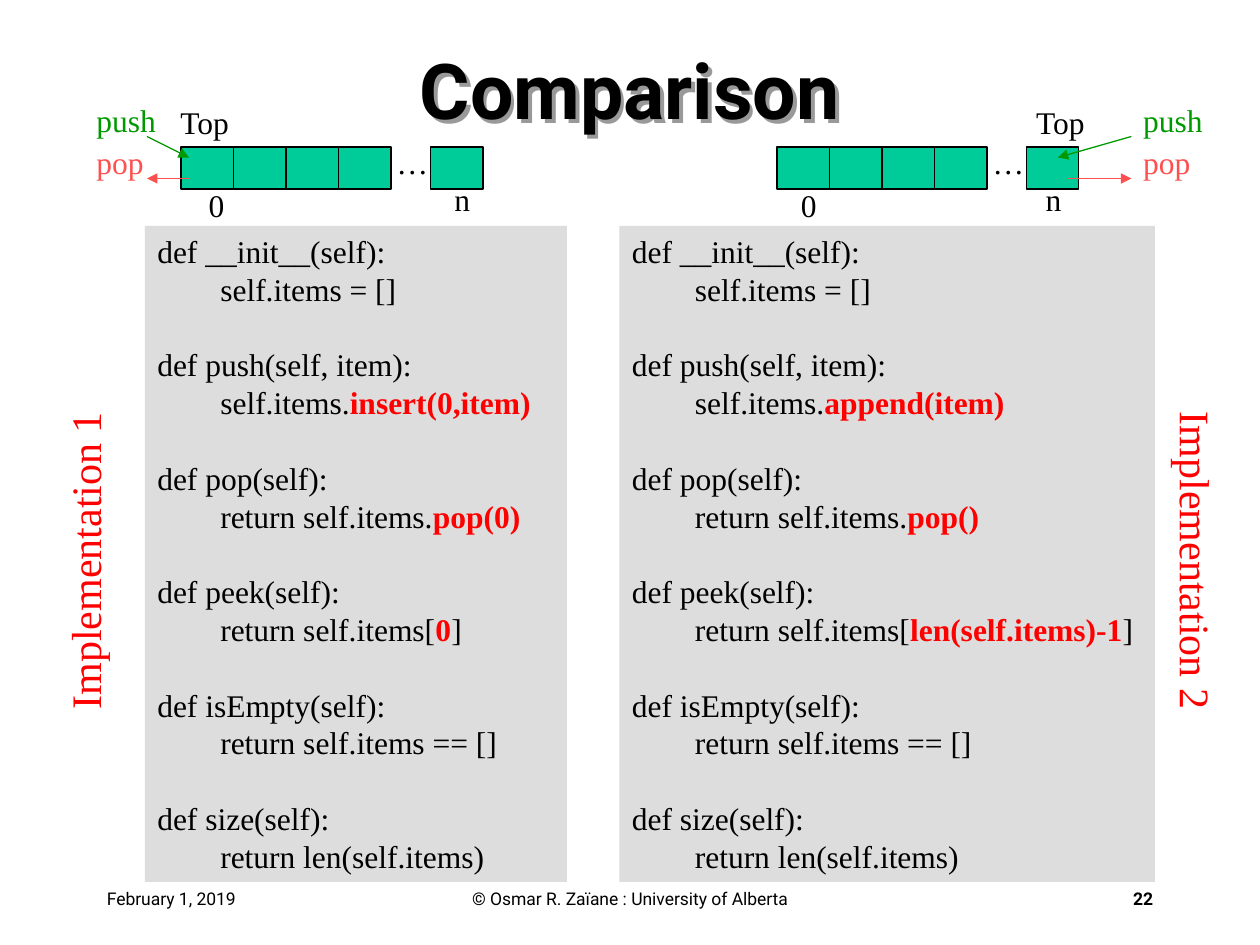
from lxml import etree
from pptx import Presentation
from pptx.dml.color import RGBColor
from pptx.enum.shapes import MSO_CONNECTOR, MSO_SHAPE
from pptx.enum.text import MSO_ANCHOR, PP_ALIGN
from pptx.oxml.ns import qn
from pptx.util import Inches, Pt

RECTANGLE = MSO_SHAPE.RECTANGLE
STRAIGHT = MSO_CONNECTOR.STRAIGHT
MIDDLE, TOP = MSO_ANCHOR.MIDDLE, MSO_ANCHOR.TOP
LEFT, CENTER, RIGHT = PP_ALIGN.LEFT, PP_ALIGN.CENTER, PP_ALIGN.RIGHT

BLACK = RGBColor(0x00, 0x00, 0x00)
RED = RGBColor(0xFF, 0x00, 0x00)
GREEN = RGBColor(0x00, 0x99, 0x00)
CORAL = RGBColor(0xFF, 0x50, 0x50)
TEAL = RGBColor(0x00, 0xCC, 0x99)
GRAY = RGBColor(0xDD, 0xDD, 0xDD)
SHADE = RGBColor(0x99, 0x99, 0x99)

SERIF, SANS = "Times New Roman", "Roboto"
SLIDE_WIDTH, SLIDE_HEIGHT = Inches(10), Inches(7.5)
COLUMNS, ROWS = 120, 90
CODE_LINE = Pt(21.6)
CELL_WIDTH, CELL_HEIGHT, CELL_TOP = 5, 4, 14
CELL_OFFSETS = (0, 5, 10, 15, 23.75)
LABEL_HEIGHT = 4.8


def place(left, top, width, height):
    return (round(SLIDE_WIDTH * left / COLUMNS), round(SLIDE_HEIGHT * top / ROWS),
            round(SLIDE_WIDTH * width / COLUMNS), round(SLIDE_HEIGHT * height / ROWS))


def add_span(para, text, size, color=BLACK, bold=False, font=SERIF):
    span = para.add_run()
    span.text = text
    span.font.size = Pt(size)
    span.font.bold = bold
    span.font.color.rgb = color
    span.font.name = font


def add_text(page, area, text, size, align=LEFT, anchor=TOP, wrap=True, turn=0, **style):
    box = page.shapes.add_textbox(*place(*area))
    box.rotation = turn
    frame = box.text_frame
    frame.word_wrap = wrap
    frame.vertical_anchor = anchor
    para = frame.paragraphs[0]
    para.alignment = align
    add_span(para, text, size, **style)
    return box


def add_shadow(box):
    effects = etree.SubElement(box._element.spPr, qn("a:effectLst"))
    outer = etree.SubElement(effects, qn("a:outerShdw"),
                             dist="38100", dir="2700000", algn="tl")
    etree.SubElement(outer, qn("a:srgbClr"), val=str(SHADE))


def add_label(page, left, top, width, text, color=BLACK):
    add_text(page, (left, top, width, LABEL_HEIGHT), text, 18, wrap=False, color=color)


def add_rectangle(page, area, fill):
    box = page.shapes.add_shape(RECTANGLE, *place(*area))
    box.shadow.inherit = False
    box.fill.solid()
    box.fill.fore_color.rgb = fill
    box.line.fill.background()
    return box


def add_arrow(page, start, end, color, tip="a:tailEnd"):
    arrow = page.shapes.add_connector(STRAIGHT, *place(*start, *end))
    arrow.line.color.rgb = color
    arrow.line.width = Pt(0.75)
    etree.SubElement(arrow.line._get_or_add_ln(), qn(tip), type="triangle")
    etree.SubElement(arrow._element.spPr, qn("a:effectLst"))


def add_code(page, area, methods):
    box = add_rectangle(page, area, GRAY)
    frame = box.text_frame
    frame.word_wrap = True
    frame.vertical_anchor = TOP
    for number, (signature, *body) in enumerate(methods):
        head = frame.paragraphs[0] if number == 0 else frame.add_paragraph()
        head.space_before = CODE_LINE if number else Pt(0)
        add_span(head, f"def {signature}:", 18)
        step = frame.add_paragraph()
        step._p.get_or_add_pPr().set("marL", str(Inches(0.5)))
        for position, text in enumerate(body):
            marked = position == 1
            add_span(step, text, 18, RED if marked else BLACK, marked)
        for para in (head, step):
            para.alignment = LEFT
            para.line_spacing = CODE_LINE


def stack_methods(push, pop, peek):
    return (
        ("__init__(self)", "self.items = []"),
        ("push(self, item)", "self.items.", push),
        ("pop(self)", "return self.items.", pop),
        ("peek(self)", "return self.items[", peek, "]"),
        ("isEmpty(self)", "return self.items == []"),
        ("size(self)", "return len(self.items)"),
    )


def add_stack(page, left, top_left, zero_left, n_left, action_left):
    for offset in CELL_OFFSETS:
        cell = add_rectangle(page, (left + offset, CELL_TOP, CELL_WIDTH, CELL_HEIGHT), TEAL)
        cell.line.color.rgb = BLACK
        cell.line.width = Pt(0.75)
    add_label(page, top_left, 9.2, 7.2, "Top")
    add_label(page, left + 19.35, 13, 5.4, "…")
    add_label(page, zero_left, 17.1, 4, "0")
    add_label(page, n_left, 16.6, 4, "n")
    add_label(page, action_left, 9, 8.4, "push", GREEN)
    add_label(page, action_left, 13, 7.2, "pop", CORAL)


def main():
    deck = Presentation()
    deck.slide_width, deck.slide_height = SLIDE_WIDTH, SLIDE_HEIGHT
    page = deck.slides.add_slide(deck.slide_layouts[6])

    add_text(page, (9, 84, 25, 4), "February 1, 2019", 10, font=SANS)
    add_text(page, (35, 84, 50, 4), "© Osmar R. Zaïane : University of Alberta", 10,
             CENTER, font=SANS)
    add_text(page, (86, 84, 25, 4), "22", 10, RIGHT, font=SANS, bold=True)
    title = add_text(page, (9, 2, 102, 13), "Comparison", 44, CENTER, MIDDLE,
                     font=SANS, bold=True)
    add_shadow(title)

    add_code(page, (13.8, 21.5, 40.2, 62.5), stack_methods("insert(0,item)", "pop(0)", "0"))
    add_code(page, (59, 21.5, 51, 62.5),
             stack_methods("append(item)", "pop()", "len(self.items)-1"))

    add_stack(page, 17.25, 16, 18.7, 42.1, 8)
    add_arrow(page, (14, 13), (18, 15), GREEN)
    add_arrow(page, (14, 17), (18, 17), CORAL, "a:headEnd")
    add_stack(page, 74, 97.5, 75.1, 98.4, 107.7)
    add_arrow(page, (107.75, 13), (100.75, 15), GREEN)
    add_arrow(page, (101.75, 17), (107.75, 17), CORAL)

    for number, left, turn in ((1, -7.3, 270), (2, 98.6, 90)):
        add_text(page, (left, 50.4, 30.7, 6), f"Implementation {number}", 24,
                 wrap=False, turn=turn, color=RED)

    deck.save("out.pptx")


if __name__ == "__main__":
    main()
